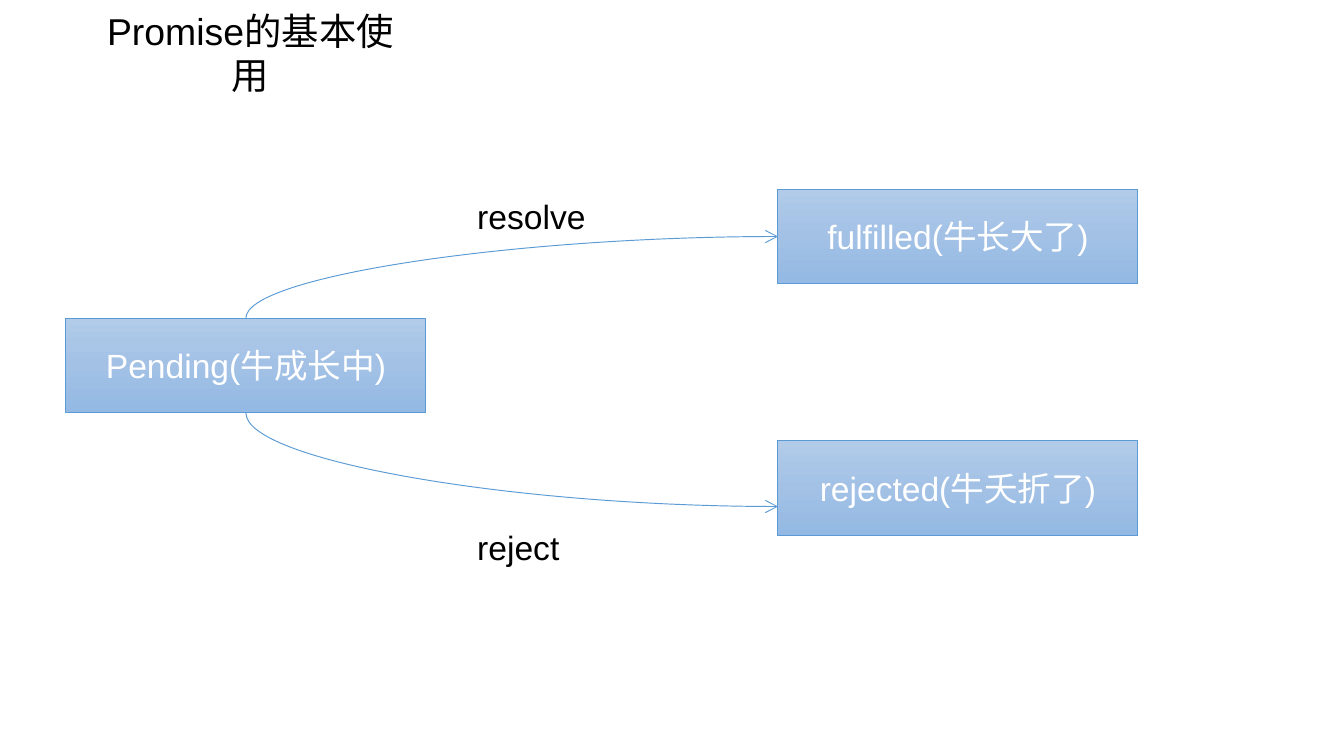
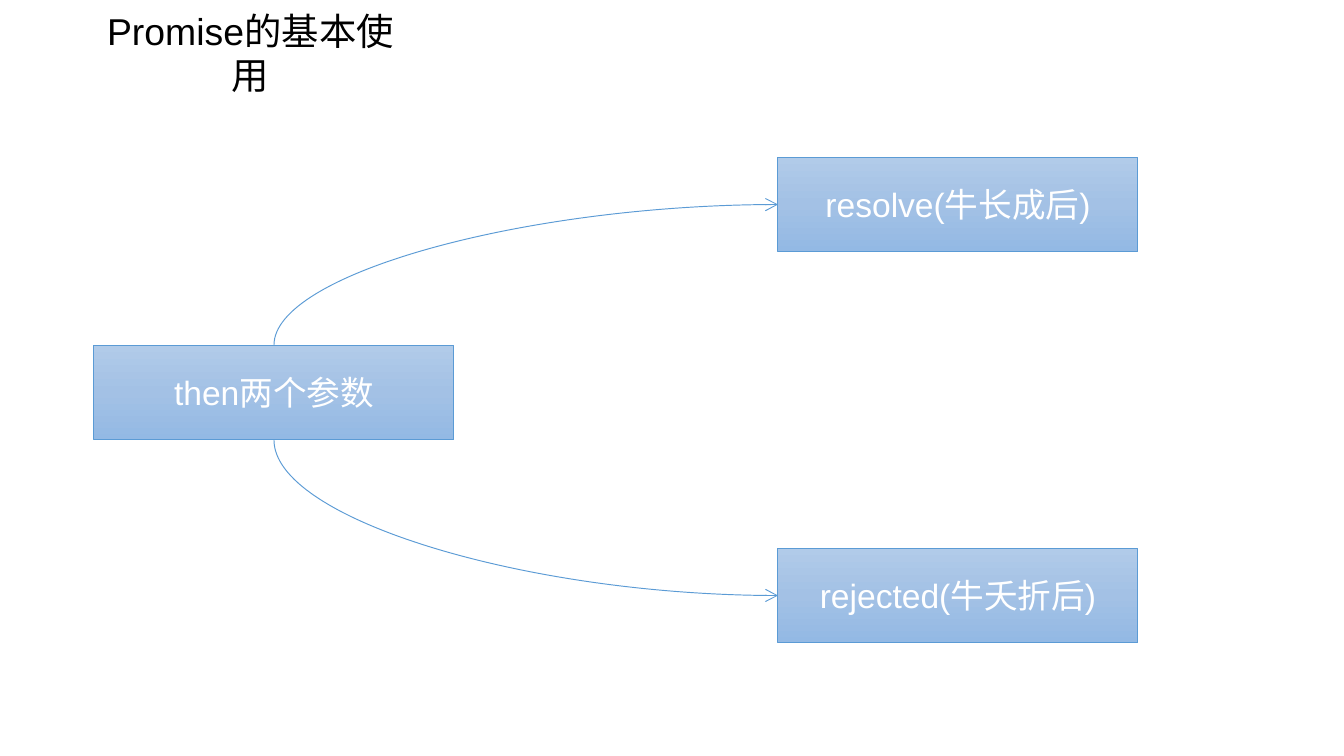
from lxml.etree import SubElement
from pptx import Presentation
from pptx.dml.color import RGBColor
from pptx.enum.shapes import MSO_CONNECTOR as Connector, MSO_SHAPE as Shape
from pptx.enum.text import MSO_ANCHOR as Anchor, MSO_AUTO_SIZE as AutoSize, PP_ALIGN as Align
from pptx.oxml.ns import qn
from pptx.util import Emu, Pt

EMU_PER_PX = 914400 / 134.4
SLIDE_SIZE = (1344, 756)
BOX_WIDTH, BOX_HEIGHT = 360, 95
OUTCOME_LEFT = 778
TITLE_ONLY = 5
TITLE = "Promise的基本使用"
FONT = "Arial"
BLACK = RGBColor(0x00, 0x00, 0x00)
WHITE = RGBColor(0xFF, 0xFF, 0xFF)
BLUE = RGBColor(0x5B, 0x9B, 0xD5)
BOX_GRADIENT = (
    (0, RGBColor(0xB1, 0xCB, 0xE9)),
    (50, RGBColor(0xA3, 0xC1, 0xE5)),
    (100, RGBColor(0x93, 0xB9, 0xE4)),
)
TOP_SITE, LEFT_SITE, BOTTOM_SITE = 0, 1, 2


def px(length):
    """Turn pixels into EMU."""
    return Emu(round(length * EMU_PER_PX))


def write_text(shape, text, size=18, color=BLACK, align=Align.LEFT,
               anchor=Anchor.TOP, auto_size=AutoSize.NONE):
    """Put one formatted paragraph into a shape."""
    frame = shape.text_frame
    frame.word_wrap = True
    frame.auto_size = auto_size
    frame.vertical_anchor = anchor
    paragraph = frame.paragraphs[0]
    paragraph.alignment = align
    run = paragraph.add_run()
    run.text = text
    run.font.name = FONT
    run.font.size = Pt(size)
    run.font.color.rgb = color


def style_line(line):
    """Apply the thin blue stroke shared by boxes and arrows."""
    line.color.rgb = BLUE
    line.width = Pt(0.5)


def fill_gradient(shape):
    """Fill a shape with the vertical three-stop blue gradient."""
    shape.fill.gradient()
    shape.fill.gradient_angle = 270
    stops = shape.fill._fill._gradFill.find(qn("a:gsLst"))
    stops.clear()
    for percent, color in BOX_GRADIENT:
        stop = SubElement(stops, qn("a:gs"), pos=str(percent * 1000))
        SubElement(stop, qn("a:srgbClr"), val=str(color))


def add_titled_slide(presentation):
    """Add a slide with the shared title."""
    slide = presentation.slides.add_slide(presentation.slide_layouts[TITLE_ONLY])
    title = slide.shapes.title
    title.left, title.top, title.width, title.height = map(px, (75, 1, 351, 59))
    write_text(title, TITLE, size=20, align=Align.CENTER,
               auto_size=AutoSize.SHAPE_TO_FIT_TEXT)
    return slide


def add_box(slide, text, left, top):
    """Add a state box."""
    box = slide.shapes.add_shape(
        Shape.RECTANGLE, px(left), px(top), px(BOX_WIDTH), px(BOX_HEIGHT))
    box.shadow.inherit = False
    fill_gradient(box)
    style_line(box.line)
    write_text(box, text, color=WHITE, align=Align.CENTER, anchor=Anchor.MIDDLE)
    return box


def add_label(slide, text, left, top):
    """Add a caption beside an arrow."""
    label = slide.shapes.add_textbox(px(left), px(top), px(230), px(54))
    write_text(label, text, auto_size=AutoSize.SHAPE_TO_FIT_TEXT)


def add_curved_arrow(slide, source, target, end_shift=0):
    """Curve from the source's top or bottom edge to the target's left edge."""
    upward = target.top < source.top
    start_x = source.left + source.width // 2
    start_y = source.top if upward else source.top + source.height
    end_x = target.left
    end_y = target.top + target.height // 2 + px(end_shift)
    arrow = slide.shapes.add_connector(Connector.CURVE, start_x, start_y, end_x, end_y)
    arrow.begin_connect(source, TOP_SITE if upward else BOTTOM_SITE)
    if not end_shift:
        arrow.end_connect(target, LEFT_SITE)

    run, rise = end_x - start_x, abs(end_y - start_y)
    properties = arrow._element.spPr
    properties.find(qn("a:prstGeom")).set("prst", "curvedConnector2")
    transform = properties.find(qn("a:xfrm"))
    transform.attrib.clear()
    transform.set("rot", str((270 if upward else 90) * 60000))
    if not upward:
        transform.set("flipV", "1")
    arrow.left = Emu((start_x + end_x - rise) // 2)
    arrow.top = Emu((start_y + end_y - run) // 2)
    arrow.width, arrow.height = Emu(rise), Emu(run)

    style_line(arrow.line)
    SubElement(properties.find(qn("a:ln")), qn("a:tailEnd"), type="arrow")
    SubElement(properties, qn("a:effectLst"))


def add_branches(slide, source, success, failure, failure_shift=0):
    """Draw a source box that branches into two outcomes."""
    source_box = add_box(slide, *source)
    success_box, failure_box = [
        add_box(slide, text, OUTCOME_LEFT, top) for text, top in (success, failure)]
    add_curved_arrow(slide, source_box, success_box)
    add_curved_arrow(slide, source_box, failure_box, failure_shift)


def main():
    """Build and save the presentation."""
    presentation = Presentation()
    presentation.slide_width, presentation.slide_height = map(px, SLIDE_SIZE)

    states = add_titled_slide(presentation)
    add_branches(states, ("Pending(牛成长中)", 66, 318),
                 ("fulfilled(牛长大了)", 189), ("rejected(牛夭折了)", 441),
                 failure_shift=18)
    add_label(states, "resolve", 464, 189)
    add_label(states, "reject", 464, 520)

    callbacks = add_titled_slide(presentation)
    add_branches(callbacks, ("then两个参数", 94, 345),
                 ("resolve(牛长成后)", 157), ("rejected(牛夭折后)", 548))

    presentation.save("out.pptx")


if __name__ == "__main__":
    main()
